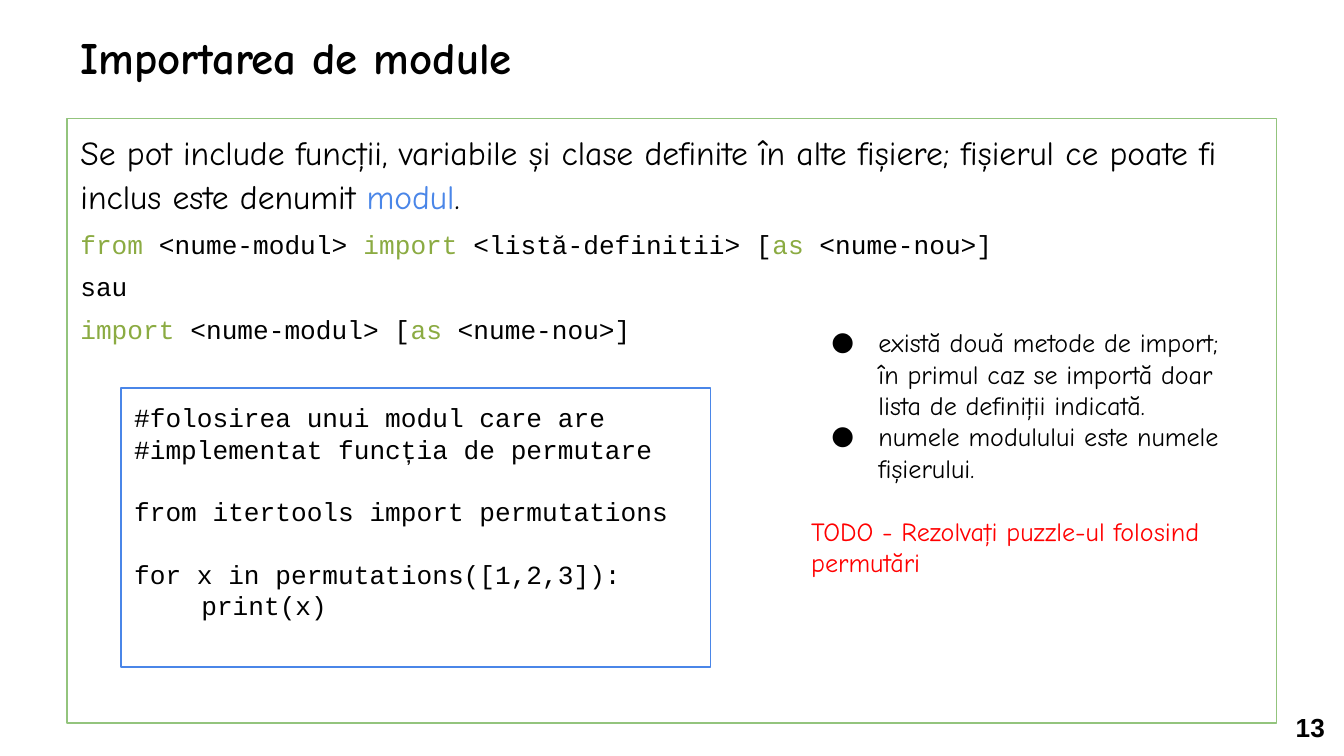
from dataclasses import dataclass
from typing import Optional

from lxml.etree import SubElement
from pptx import Presentation
from pptx.dml.color import RGBColor
from pptx.enum.shapes import MSO_SHAPE
from pptx.enum.text import MSO_ANCHOR, PP_ALIGN
from pptx.oxml.ns import qn
from pptx.util import Pt

PX = 5715
INSET = 16
BLACK = RGBColor(0x00, 0x00, 0x00)
BLUE = RGBColor(0x4A, 0x86, 0xE8)
GREEN = RGBColor(0x8B, 0xAB, 0x42)
FRAME_GREEN = RGBColor(0x93, 0xC4, 0x7D)
RED = RGBColor(0xFF, 0x00, 0x00)
HAND = "Comic Neue"
MONO = "Courier New"
BLANK_LINE = 16.8


@dataclass(frozen=True)
class Span:
    text: str
    color: RGBColor = BLACK
    size: Optional[int] = None


@dataclass(frozen=True)
class Line:
    spans: tuple[Span, ...]
    font: str = HAND
    size: int = 14
    bold: bool = False
    before: float = 0
    margin: int = 0
    indent: int = 0
    bullet: str = ""
    align: PP_ALIGN = PP_ALIGN.LEFT


@dataclass(frozen=True)
class Box:
    left: int
    top: int
    width: int
    height: int
    lines: tuple[Line, ...]
    outline: Optional[RGBColor] = None
    anchor: MSO_ANCHOR = MSO_ANCHOR.TOP


def code(text: str, before: float = 0, indent: int = 0) -> Line:
    return Line((Span(text),), MONO, before=before, indent=indent)


def syntax(*spans: Span) -> Line:
    return Line(spans, MONO, before=6)


def bullet(text: str) -> Line:
    return Line((Span(text),), margin=80, indent=-56, bullet="●")


def write_line(paragraph, line: Line) -> None:
    properties = paragraph._p.get_or_add_pPr()
    properties.set("marL", str(line.margin * PX))
    properties.set("indent", str(line.indent * PX))
    paragraph.alignment = line.align
    paragraph.space_before = Pt(line.before)
    if line.bullet:
        color = SubElement(properties, qn("a:buClr"))
        SubElement(color, qn("a:srgbClr"), val=str(BLACK))
        SubElement(properties, qn("a:buSzPts"), val=str(line.size * 100))
        SubElement(properties, qn("a:buFont"), typeface=line.font)
        SubElement(properties, qn("a:buChar"), char=line.bullet)
    paragraph.font.name = line.font
    paragraph.font.size = Pt(line.size)
    paragraph.font.bold = line.bold
    for span in line.spans:
        run = paragraph.add_run()
        run.text = span.text
        run.font.color.rgb = span.color
        if span.size:
            run.font.size = Pt(span.size)


def draw_box(page, box: Box) -> None:
    place = [value * PX for value in (box.left, box.top, box.width, box.height)]
    if box.outline is None:
        shape = page.shapes.add_textbox(*place)
    else:
        shape = page.shapes.add_shape(MSO_SHAPE.RECTANGLE, *place)
        shape.shadow.inherit = False
        shape.fill.background()
        shape.line.color.rgb = box.outline
        shape.line.width = Pt(0.75)
    frame = shape.text_frame
    frame.word_wrap = True
    frame.vertical_anchor = box.anchor
    frame.margin_left = frame.margin_right = INSET * PX
    frame.margin_top = frame.margin_bottom = INSET * PX
    for index, line in enumerate(box.lines):
        paragraph = frame.add_paragraph() if index else frame.paragraphs[0]
        write_line(paragraph, line)


AS = Span("as", GREEN)
IMPORT = Span("import", GREEN)
NEW_NAME = Span(" <nume-nou>]")

TITLE = Box(80, 38, 1440, 77, (
    Line((Span("Importarea de module"),), size=24, bold=True),
), anchor=MSO_ANCHOR.BOTTOM)

EXPLANATION = Box(80, 141, 1440, 720, (
    Line((
        Span("Se pot include funcții, variabile și clase definite în alte fișiere; "
             "fișierul ce poate fi inclus este denumit "),
        Span("modul", BLUE),
        Span("."),
        Span(" ", size=20),
    ), size=18),
    syntax(Span("from", GREEN), Span(" <nume-modul> "), IMPORT,
           Span(" <listă-definitii> ["), AS, NEW_NAME),
    syntax(Span("sau")),
    syntax(IMPORT, Span(" <nume-modul> ["), AS, NEW_NAME),
), FRAME_GREEN)

PAGE_NUMBER = Box(1497, 831, 96, 69, (
    Line((Span("13"),), "Arial", bold=True, align=PP_ALIGN.RIGHT),
), anchor=MSO_ANCHOR.MIDDLE)

EXAMPLE = Box(144, 462, 702, 332, (
    code("#folosirea unui modul care are #implementat funcția de permutare"),
    code("from itertools import permutations", BLANK_LINE),
    code("for x in permutations([1,2,3]):", BLANK_LINE),
    code("print(x)", indent=80),
), BLUE)

NOTES = Box(950, 373, 530, 430, (
    bullet("există două metode de import; în primul caz se importă doar "
           "lista de definiții indicată."),
    bullet("numele modulului este numele fișierului."),
    Line((Span("TODO - Rezolvați puzzle-ul folosind permutări", RED),),
         before=BLANK_LINE),
))


def main() -> None:
    deck = Presentation()
    deck.slide_width = 1600 * PX
    deck.slide_height = 900 * PX
    page = deck.slides.add_slide(deck.slide_layouts[6])
    for box in (TITLE, EXPLANATION, PAGE_NUMBER, EXAMPLE, NOTES):
        draw_box(page, box)
    deck.save("out.pptx")


if __name__ == "__main__":
    main()
